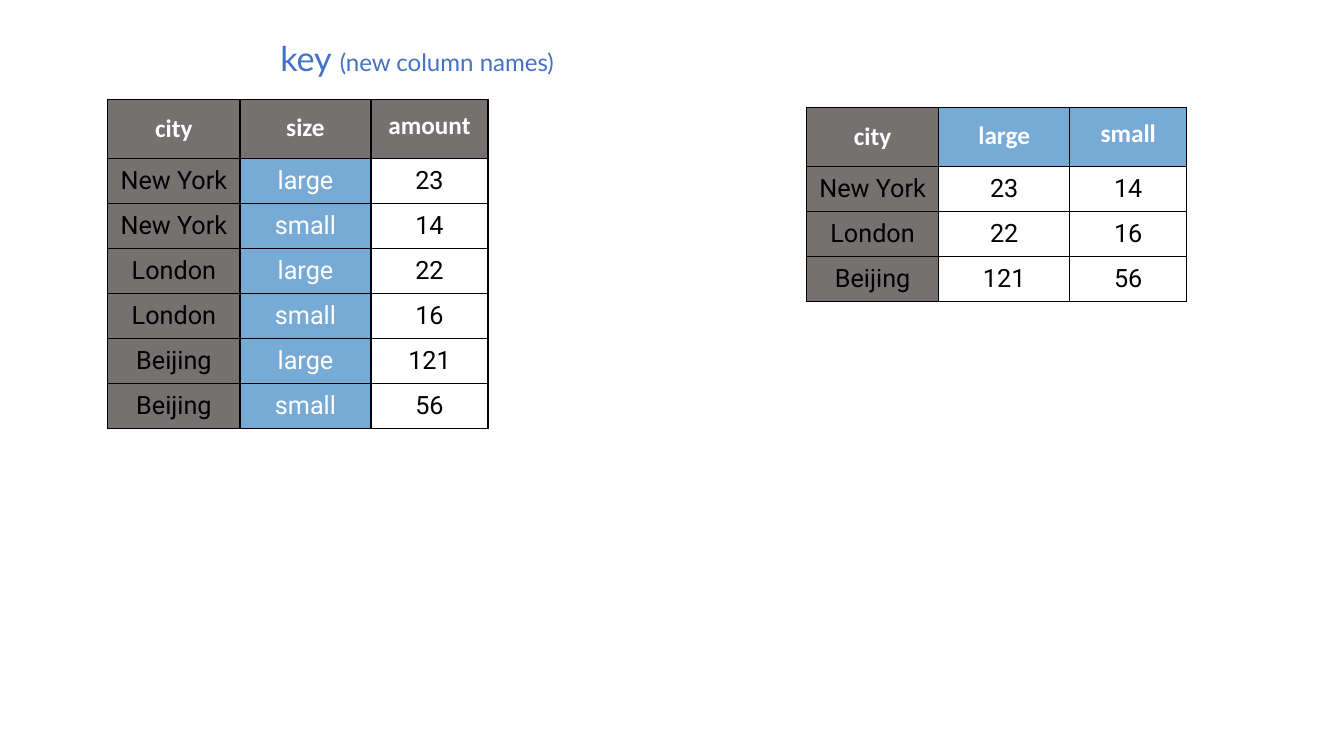
from lxml import etree
from pptx import Presentation
from pptx.dml.color import RGBColor
from pptx.enum.text import MSO_ANCHOR, MSO_AUTO_SIZE, PP_ALIGN
from pptx.oxml import parse_xml
from pptx.oxml.ns import nsdecls
from pptx.util import Inches, Pt

CENTER, LEFT = PP_ALIGN.CENTER, PP_ALIGN.LEFT
MIDDLE = MSO_ANCHOR.MIDDLE
NO_AUTOFIT = MSO_AUTO_SIZE.NONE
GRAY = RGBColor(0x76, 0x71, 0x71)
BLUE = RGBColor(0x78, 0xAA, 0xD6)
ACCENT = RGBColor(0x44, 0x72, 0xC4)
WHITE = RGBColor(0xFF, 0xFF, 0xFF)
BLACK = RGBColor(0x00, 0x00, 0x00)

COLUMN_WIDTHS = [1.31, 1.3, 1.16]
HEADER_HEIGHT = 0.58
HEADER_SPACING = [1.0, 0.8, 0.6]
MARGINS = ["margin_left", "margin_right", "margin_top", "margin_bottom"]

LONG_ROWS = [
    ["city", "size", "amount"],
    ["New York", "large", "23"],
    ["New York", "small", "14"],
    ["London", "large", "22"],
    ["London", "small", "16"],
    ["Beijing", "large", "121"],
    ["Beijing", "small", "56"],
]
WIDE_ROWS = [
    ["city", "large", "small"],
    ["New York", "23", "14"],
    ["London", "22", "16"],
    ["Beijing", "121", "56"],
]
TABLES = [
    {"rows": LONG_ROWS, "left": 1.07, "top": 0.99, "height": 3.26,
     "header_fills": [GRAY, GRAY, GRAY], "body_fills": [GRAY, BLUE, None]},
    {"rows": WIDE_ROWS, "left": 8, "top": 1.07, "height": 1.92,
     "header_fills": [GRAY, BLUE, BLUE], "body_fills": [GRAY, None, None]},
]


def add_borders(cell):
    properties = cell._tc.get_or_add_tcPr()
    for index, side in enumerate(["lnL", "lnR", "lnT", "lnB"]):
        line = parse_xml(f'<a:{side} {nsdecls("a")} w="12700"/>')
        fill = etree.SubElement(line, "{%s}solidFill" % line.nsmap["a"])
        etree.SubElement(fill, "{%s}srgbClr" % line.nsmap["a"], val=str(BLACK))
        properties.insert(index, line)


def set_font(font, values):
    for name, value in values.items():
        if name == "color":
            font.color.rgb = value
        else:
            setattr(font, name, value)


deck = Presentation()
deck.slide_width, deck.slide_height = Inches(13.33), Inches(7.5)
page = deck.slides.add_slide(deck.slide_layouts[5])

title = page.shapes.title
title.left, title.top = Inches(2.74), Inches(0.32)
title.width, title.height = Inches(3.54), Inches(0.5)
frame = title.text_frame
frame.word_wrap = True
frame.auto_size = NO_AUTOFIT
frame.vertical_anchor = MIDDLE
for margin in MARGINS:
    setattr(frame, margin, Inches(0.04))
para = frame.paragraphs[0]
para.alignment = LEFT
for text, size in [("key ", 24.4), ("(new column names)", 17.2)]:
    span = para.add_run()
    span.text = text
    set_font(span.font, {"name": "Lato", "size": Pt(size), "color": ACCENT})

for data in TABLES:
    rows = data["rows"]
    table = page.shapes.add_table(
        len(rows), len(COLUMN_WIDTHS), Inches(data["left"]), Inches(data["top"]),
        Inches(sum(COLUMN_WIDTHS)), Inches(data["height"])).table
    table.first_row = True
    table.horz_banding = False
    for column, width in zip(table.columns, COLUMN_WIDTHS):
        column.width = Inches(width)
    body_height = (data["height"] - HEADER_HEIGHT) / (len(rows) - 1)
    for row_index, texts in enumerate(rows):
        is_header = row_index == 0
        table.rows[row_index].height = Inches(HEADER_HEIGHT if is_header else body_height)
        fills = data["header_fills"] if is_header else data["body_fills"]
        for column_index, (text, fill) in enumerate(zip(texts, fills)):
            cell = table.cell(row_index, column_index)
            cell.vertical_anchor = MIDDLE
            for margin in MARGINS:
                setattr(cell, margin, Inches(0.03))
            if fill is None:
                cell.fill.background()
            else:
                cell.fill.solid()
                cell.fill.fore_color.rgb = fill
            add_borders(cell)
            para = cell.text_frame.paragraphs[0]
            para.alignment = CENTER
            if is_header:
                para.line_spacing = HEADER_SPACING[column_index]
            span = para.add_run()
            span.text = text
            set_font(span.font, {
                "name": "Calibri" if is_header else "Roboto",
                "size": Pt(18),
                "bold": is_header,
                "color": WHITE if is_header or fill == BLUE else BLACK,
            })

deck.save("out.pptx")
